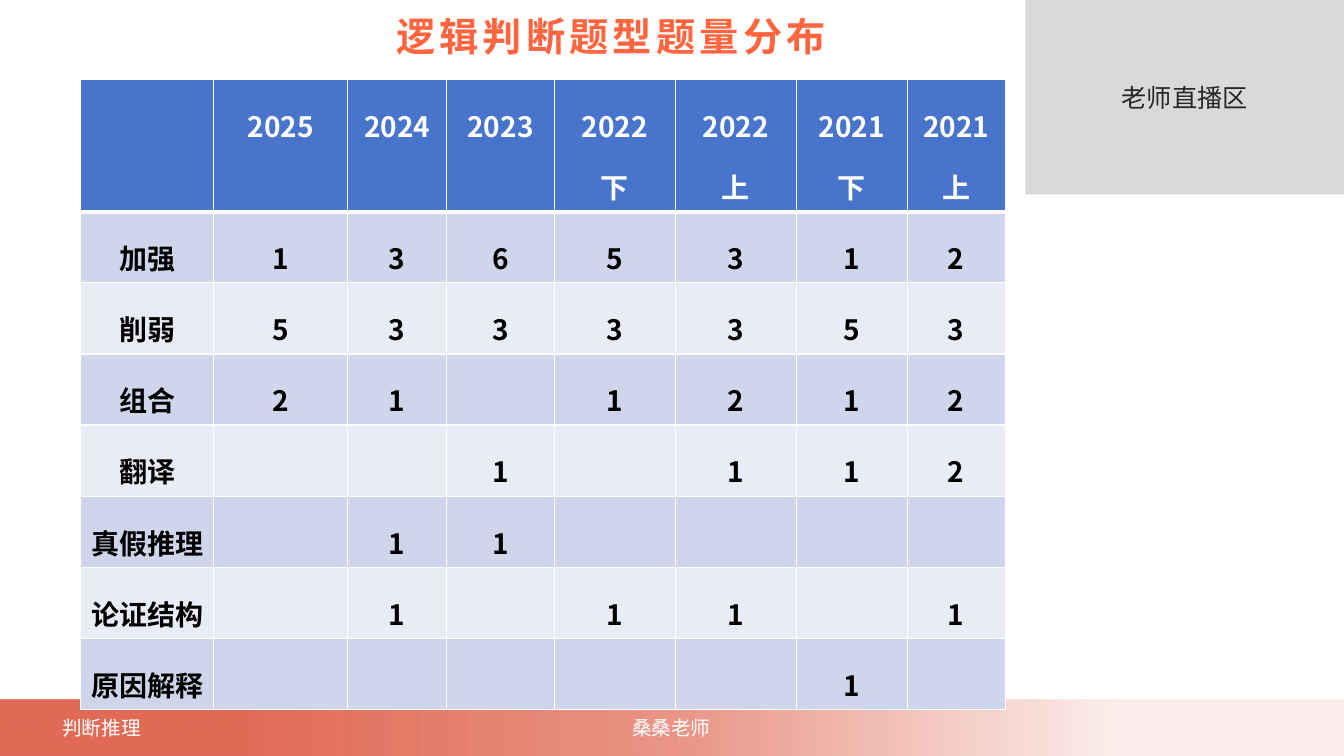
import lxml.etree
import pptx
import pptx.dml.color
import pptx.enum.shapes
import pptx.enum.text
import pptx.oxml.ns
import pptx.util

Inches = pptx.util.Inches
Pt = pptx.util.Pt
qn = pptx.oxml.ns.qn
ALIGN = pptx.enum.text.PP_ALIGN
ANCHOR = pptx.enum.text.MSO_ANCHOR

FONT = "Noto Sans CJK SC"
WHITE = "FFFFFF"
HEADER_FILL = "4874CB"
BAND_FILLS = ["CFD6EC", "E9EBF6"]

COLUMN_WIDTHS = [1.32, 1.33, 0.98, 1.07, 1.2, 1.2, 1.1, 0.97]
TABLE_HEIGHT = 6.25
HEADER_HEIGHT = 1.31
QUESTION_COUNTS = [
    ["", "2025", "2024", "2023", "2022\n下", "2022\n上", "2021\n下", "2021\n上"],
    ["加强", "1", "3", "6", "5", "3", "1", "2"],
    ["削弱", "5", "3", "3", "3", "3", "5", "3"],
    ["组合", "2", "1", "", "1", "2", "1", "2"],
    ["翻译", "", "", "1", "", "1", "1", "2"],
    ["真假推理", "", "1", "1", "", "", "", ""],
    ["论证结构", "", "1", "", "1", "1", "", "1"],
    ["原因解释", "", "", "", "", "", "1", ""],
]


def rgb(value):
    return pptx.dml.color.RGBColor.from_string(value)


def write(frame, text, size, color, bold=False, align=None, line_spacing=None, tracking=None):
    """Fill a text frame, one paragraph per line; tracking is in points."""
    for index, line in enumerate(text.split("\n")):
        paragraph = frame.add_paragraph() if index else frame.paragraphs[0]
        paragraph.alignment = align
        paragraph.line_spacing = line_spacing
        run = paragraph.add_run()
        run.text = line
        run.font.size = Pt(size)
        run.font.bold = bold
        run.font.color.rgb = rgb(color)
        run.font.name = FONT
        properties = run._r.get_or_add_rPr()
        lxml.etree.SubElement(properties, qn("a:ea"), typeface=FONT)
        if tracking:
            properties.set("spc", str(tracking * 100))


def add_rectangle(slide, left, top, width, height):
    rectangle = slide.shapes.add_shape(
        pptx.enum.shapes.MSO_SHAPE.RECTANGLE,
        Inches(left), Inches(top), Inches(width), Inches(height))
    rectangle.shadow.inherit = False
    rectangle.line.fill.background()
    return rectangle


def add_live_area(slide):
    live_area = add_rectangle(slide, 10.17, 0, 3.16, 1.93)
    live_area.fill.solid()
    live_area.fill.fore_color.rgb = rgb("D9D9D9")
    live_area.text_frame.vertical_anchor = ANCHOR.MIDDLE
    write(live_area.text_frame, "老师直播区", 18, "262626", align=ALIGN.CENTER)


def add_footer_band(slide):
    """Red band that fades out to the right."""
    band = add_rectangle(slide, 0, 6.94, 13.33, 0.57)
    band.fill.gradient()
    band.fill.gradient_angle = 0
    stops = band._element.spPr.find(qn("a:gradFill")).find(qn("a:gsLst"))
    for default_stop in list(stops):
        stops.remove(default_stop)
    for position, opacity in [(18, 84), (51, 59), (83, 10)]:
        stop = lxml.etree.SubElement(stops, qn("a:gs"), pos=str(position * 1000))
        color = lxml.etree.SubElement(stop, qn("a:srgbClr"), val="DC5037")
        lxml.etree.SubElement(color, qn("a:alpha"), val=str(opacity * 1000))


def add_footer_label(slide, text, left):
    label = slide.shapes.add_textbox(Inches(left), Inches(7.05), Inches(0.98), Inches(0.34))
    label.text_frame.word_wrap = False
    label.text_frame.auto_size = pptx.enum.text.MSO_AUTO_SIZE.SHAPE_TO_FIT_TEXT
    write(label.text_frame, text, 14, WHITE)


def set_title(slide, text):
    title = slide.shapes.title
    title.left, title.top = Inches(0.31), Inches(-0.03)
    title.width, title.height = Inches(11.5), Inches(0.77)
    title.text_frame.vertical_anchor = ANCHOR.MIDDLE
    write(title.text_frame, text, 28, "FF653F", bold=True, align=ALIGN.CENTER, tracking=3)


def set_borders(cell, widths):
    """Draw white borders; widths maps a side (L, R, T, B) to points."""
    properties = cell._tc.get_or_add_tcPr()
    for side, width in widths.items():
        border = lxml.etree.SubElement(properties, qn(f"a:ln{side}"), w=str(Pt(width)))
        fill = lxml.etree.SubElement(border, qn("a:solidFill"))
        lxml.etree.SubElement(fill, qn("a:srgbClr"), val=WHITE)


def add_count_table(slide):
    table = slide.shapes.add_table(
        len(QUESTION_COUNTS), len(COLUMN_WIDTHS), Inches(0.8), Inches(0.79),
        Inches(sum(COLUMN_WIDTHS)), Inches(TABLE_HEIGHT)).table
    for column, width in zip(table.columns, COLUMN_WIDTHS):
        column.width = Inches(width)
    body_height = (TABLE_HEIGHT - HEADER_HEIGHT) / (len(QUESTION_COUNTS) - 1)
    for index, (row, texts) in enumerate(zip(table.rows, QUESTION_COUNTS)):
        is_header = index == 0
        row.height = Inches(HEADER_HEIGHT if is_header else body_height)
        row_fill = HEADER_FILL if is_header else BAND_FILLS[(index - 1) % 2]
        for cell, text in zip(row.cells, texts):
            set_borders(cell, {"L": 1, "R": 1, "T": 3 if index == 1 else 1,
                               "B": 3 if is_header else 1})
            cell.fill.solid()
            cell.fill.fore_color.rgb = rgb(row_fill)
            if text:
                write(cell.text_frame, text, 20, WHITE if is_header else "000000",
                      bold=True, align=ALIGN.CENTER, line_spacing=1.5)


def main():
    presentation = pptx.Presentation()
    presentation.slide_width = Inches(13.33)
    presentation.slide_height = Inches(7.5)
    slide = presentation.slides.add_slide(presentation.slide_layouts.get_by_name("Title Only"))
    set_title(slide, "逻辑判断题型题量分布")
    add_live_area(slide)
    add_footer_band(slide)
    add_footer_label(slide, "判断推理", 0.52)
    add_footer_label(slide, "桑桑老师", 6.17)
    add_count_table(slide)
    presentation.save("out.pptx")


if __name__ == "__main__":
    main()
